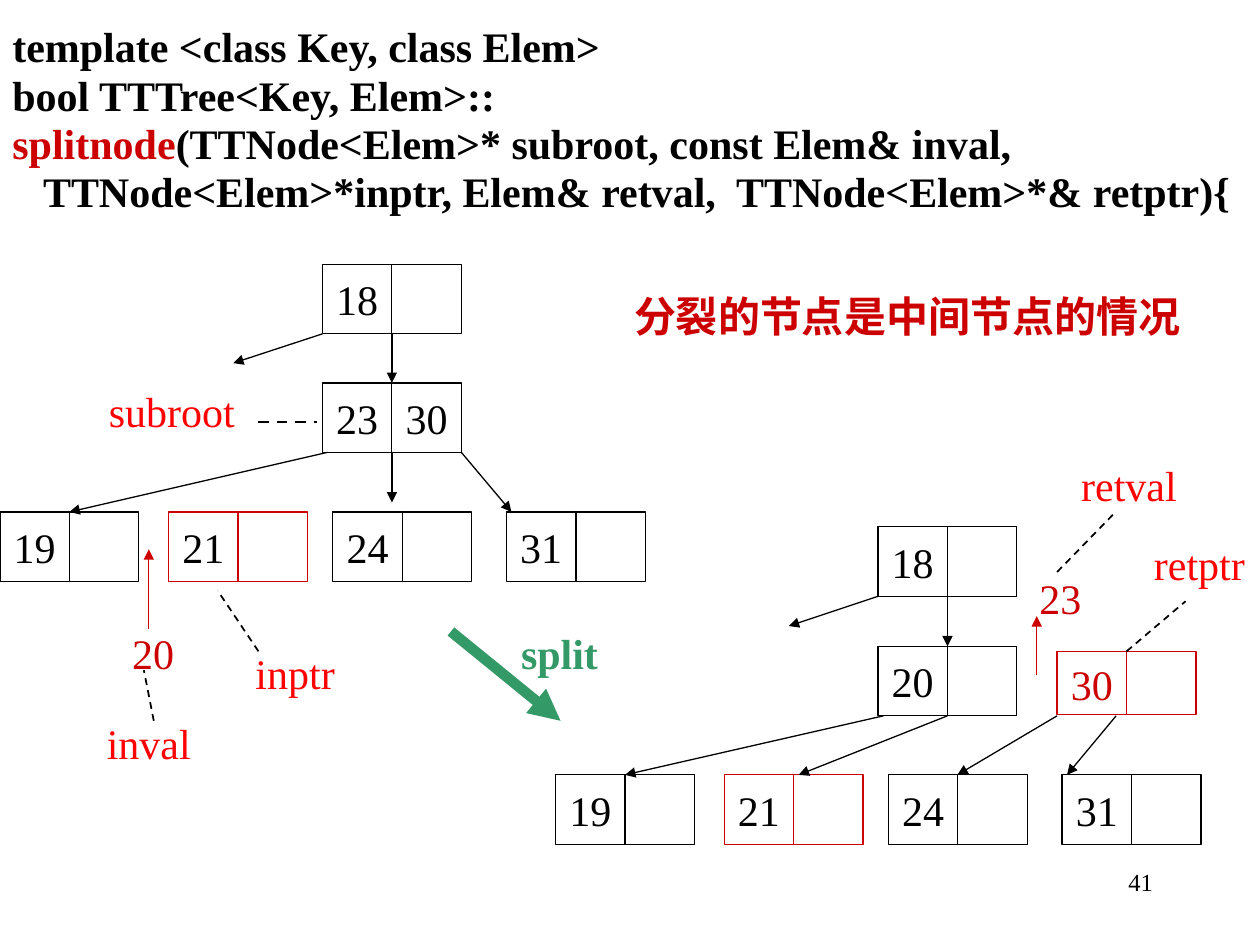
from lxml import etree
from pptx import Presentation
from pptx.dml.color import RGBColor
from pptx.enum.dml import MSO_LINE_DASH_STYLE as DASH
from pptx.enum.shapes import MSO_CONNECTOR, MSO_SHAPE
from pptx.enum.text import MSO_ANCHOR, PP_ALIGN
from pptx.oxml.ns import qn
from pptx.util import Cm, Pt

BLACK = RGBColor(0x00, 0x00, 0x00)
CRIMSON = RGBColor(0xCC, 0x00, 0x00)
RED = RGBColor(0xFF, 0x00, 0x00)
GREEN = RGBColor(0x33, 0x99, 0x66)
FONT = "Times New Roman"
CELL = 1.4


def set_font(p, color, size=24, bold=False):
    p.font.name = FONT
    p.font.size = Pt(size)
    p.font.bold = bold
    p.font.color.rgb = color


def add_line(s, start, end, color=BLACK, width=0.75, dashed=False):
    line = s.shapes.add_connector(
        MSO_CONNECTOR.STRAIGHT, *[Cm(v) for v in (*start, *end)])
    line.line.color.rgb = color
    line.line.width = Pt(width)
    if dashed:
        line.line.dash_style = DASH.DASH
    else:
        ln = line.line._get_or_add_ln()
        etree.SubElement(ln, qn("a:tailEnd"), type="triangle")
    etree.SubElement(line._element.spPr, qn("a:effectLst"))


prs = Presentation()
prs.slide_width = Cm(25.4)
prs.slide_height = Cm(19.05)
s = prs.slides.add_slide(prs.slide_layouts[6])

code = [
    [("template <class Key, class Elem>", BLACK)],
    [("bool TTTree<Key, Elem>::", BLACK)],
    [("splitnode", CRIMSON),
     ("(TTNode<Elem>* subroot, const Elem& inval,", BLACK)],
    [("   TTNode<Elem>*inptr, Elem& retval,  TTNode<Elem>*& retptr){", BLACK)],
]
tf = s.shapes.add_textbox(0, Cm(0.53), Cm(25.4), Cm(4.2)).text_frame
tf.word_wrap = True
for i, runs in enumerate(code):
    p = tf.add_paragraph() if i else tf.paragraphs[0]
    p.line_spacing = 0.75
    p.space_before = Pt(6 if i else 0)
    set_font(p, BLACK, bold=True)
    for text, color in runs:
        r = p.add_run()
        r.text = text
        r.font.color.rgb = color

nodes = [
    (6.5, 5.33, "18", "", BLACK),
    (6.5, 7.72, "23", "30", BLACK),
    (17.7, 10.62, "18", "", BLACK),
    (17.7, 13.03, "20", "", BLACK),
    (21.31, 13.14, "30", "", CRIMSON),
]
leaves = [(0, "19", BLACK), (3.4, "21", CRIMSON),
          (6.71, "24", BLACK), (10.21, "31", BLACK)]
for left, top in [(0, 10.32), (11.2, 15.62)]:
    nodes += [(left + x, top, key, "", color) for x, key, color in leaves]

for x, y, first, second, color in nodes:
    height = 1.27 if first == "30" else CELL
    for i, key in enumerate((first, second)):
        sp = s.shapes.add_shape(MSO_SHAPE.RECTANGLE, Cm(x + i * CELL), Cm(y),
                                Cm(CELL), Cm(height))
        sp.shadow.inherit = False
        sp.fill.background()
        sp.line.color.rgb = color
        sp.line.width = Pt(0.75)
        if key:
            tf = sp.text_frame
            tf.word_wrap = False
            tf.vertical_anchor = MSO_ANCHOR.MIDDLE
            p = tf.paragraphs[0]
            p.text = key
            p.alignment = PP_ALIGN.CENTER
            set_font(p, CRIMSON if key == first == "30" else BLACK)

child_links = [
    ((7.9, 6.73), (7.9, 7.72)),
    ((6.5, 6.73), (4.7, 7.32)),
    ((6.6, 9.12), (1.4, 10.32)),
    ((7.9, 9.12), (7.9, 10.13)),
    ((9.3, 9.12), (10.31, 10.32)),
    ((19.1, 12.02), (19.1, 13.03)),
    ((17.7, 12.02), (15.9, 12.62)),
    ((17.81, 14.43), (12.6, 15.62)),
    ((19.1, 14.43), (16.1, 15.62)),
    ((21.31, 14.43), (19.3, 15.62)),
    ((22.5, 14.43), (21.51, 15.62)),
]
for start, end in child_links:
    add_line(s, start, end)

add_line(s, (3, 12.67), (3, 11.07), CRIMSON)
add_line(s, (20.9, 13.61), (20.9, 12.42), CRIMSON)
add_line(s, (9.09, 12.73), (11.3, 14.53), GREEN, 6)

label_links = [
    ((5.21, 8.51), (6.4, 8.51), 1.5),
    ((5.21, 13.13), (4.39, 11.91), 1),
    ((3.1, 14.53), (2.9, 13.51), 1),
    ((21.31, 11.53), (22.5, 10.31), 1),
    ((22.71, 13.13), (23.9, 12.12), 1),
]
for start, end, width in label_links:
    add_line(s, start, end, width=width, dashed=True)

labels = [
    ("subroot", 1.84, 7.65, 3.25, RED, False),
    ("inptr", 4.8, 12.93, 2.3, RED, False),
    ("inval", 1.8, 14.33, 2.4, RED, False),
    ("retval", 21.44, 9.13, 2.64, RED, False),
    ("retptr", 22.96, 10.73, 2.44, RED, False),
    ("20", 2.31, 12.52, 1.55, CRIMSON, False),
    ("23", 20.6, 11.41, 1.55, CRIMSON, False),
    ("split", 10.16, 12.52, 2.24, GREEN, True),
    ("分裂的节点是中间节点的情况", 12.43, 5.73, 11.71, CRIMSON, True),
]
for text, x, y, width, color, bold in labels:
    tf = s.shapes.add_textbox(Cm(x), Cm(y), Cm(width), Cm(1.27)).text_frame
    tf.word_wrap = False
    p = tf.paragraphs[0]
    p.text = text
    p.alignment = PP_ALIGN.CENTER
    set_font(p, color, bold=bold)

tf = s.shapes.add_textbox(Cm(18.21), Cm(17.35), Cm(5.28), Cm(1.27)).text_frame
tf.word_wrap = True
p = tf.paragraphs[0]
p.text = "41"
p.alignment = PP_ALIGN.RIGHT
set_font(p, BLACK, 14)

prs.save("out.pptx")
